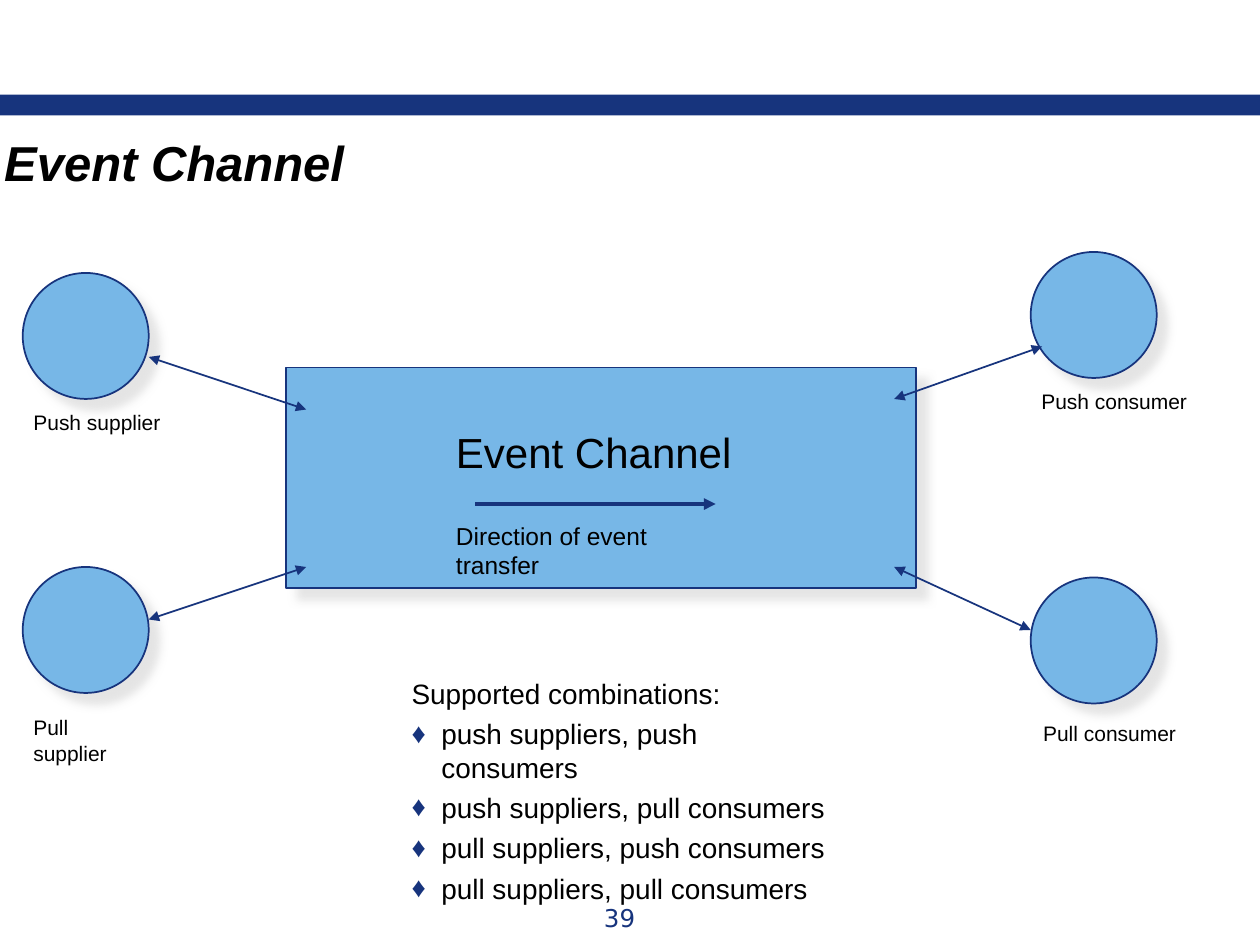
from lxml.etree import SubElement
from pptx import Presentation
from pptx.dml.color import RGBColor
from pptx.enum.shapes import MSO_CONNECTOR as Connector, MSO_SHAPE as Shape
from pptx.enum.text import MSO_ANCHOR as Anchor, MSO_AUTO_SIZE as AutoSize, PP_ALIGN as Align
from pptx.oxml.ns import qn
from pptx.util import Pt

COLORS = {"navy": "17347D", "sky": "77B7E7", "black": "000000", "shadow": "DDDDDD"}
CIRCLE = 72
CIRCLES = [(13, 156), (13, 324), (589, 144), (589, 330)]
LINKS = [
    ((85, 354), (175, 324)),
    ((85, 204), (175, 234)),
    ((511, 324), (589, 360)),
    ((511, 228), (595.5, 198)),
]
LABELS = [
    ("Event Channel", 253.5, 240, 180, 36, 24),
    ("Direction of event transfer", 253.5, 294, 160, 42, 14),
    ("Push supplier", 12, 230.5, 90, 22, 12),
    ("Pull supplier", 12, 405, 75, 36, 12),
    ("Push consumer", 588, 218.5, 102, 22, 12),
    ("Pull consumer", 589, 408, 94, 22, 12),
]
COMBINATIONS = [
    "push suppliers, push consumers",
    "push suppliers, pull consumers",
    "pull suppliers, push consumers",
    "pull suppliers, pull consumers",
]


def rgb(name):
    return RGBColor.from_string(COLORS[name])


def place(shape, left, top, width, height):
    shape.left, shape.top = Pt(left), Pt(top)
    shape.width, shape.height = Pt(width), Pt(height)


def set_font(paragraph, size, color="black", name="Arial", bold=False, italic=False):
    font = paragraph.font
    font.name, font.size = name, Pt(size)
    font.bold, font.italic = bold, italic
    font.color.rgb = rgb(color)


def add_color(parent, name):
    return SubElement(parent, qn("a:srgbClr"), val=COLORS[name])


def add_bar(slide):
    bar = slide.shapes.add_shape(Shape.RECTANGLE, 0, Pt(54), Pt(720), Pt(12))
    bar.shadow.inherit = False
    bar.fill.solid()
    bar.fill.fore_color.rgb = rgb("navy")
    bar.line.fill.background()


def add_node(slide, kind, left, top, width, height):
    node = slide.shapes.add_shape(kind, Pt(left), Pt(top), Pt(width), Pt(height))
    node.fill.solid()
    node.fill.fore_color.rgb = rgb("sky")
    node.line.color.rgb = rgb("navy")
    node.line.width = Pt(1)
    node.shadow.inherit = False
    effects = node.element.spPr.find(qn("a:effectLst"))
    shadow = SubElement(effects, qn("a:outerShdw"), blurRad=str(Pt(5)),
                        dist=str(Pt(8.5)), dir="2700000", algn="ctr", rotWithShape="0")
    SubElement(add_color(shadow, "shadow"), qn("a:alpha"), val="75000")


def add_arrow(slide, start, end, width=1, ends=("headEnd", "tailEnd")):
    points = [Pt(value) for value in (*start, *end)]
    arrow = slide.shapes.add_connector(Connector.STRAIGHT, *points)
    arrow.line.color.rgb = rgb("navy")
    arrow.line.width = Pt(width)
    line = arrow.element.spPr.find(qn("a:ln"))
    for end_name in ends:
        SubElement(line, qn(f"a:{end_name}"), type="triangle")
    SubElement(arrow.element.spPr, qn("a:effectLst"))


def add_label(slide, text, left, top, width, height, size, **font):
    box = slide.shapes.add_textbox(Pt(left), Pt(top), Pt(width), Pt(height))
    box.text_frame.word_wrap = True
    paragraph = box.text_frame.paragraphs[0]
    paragraph.text = text
    set_font(paragraph, size, **font)
    return paragraph


def fill_title(title):
    place(title, -6, 72, 211, 41)
    frame = title.text_frame
    frame.text = "Event Channel"
    frame.word_wrap = False
    frame.auto_size = AutoSize.NONE
    frame.vertical_anchor = Anchor.MIDDLE
    paragraph = frame.paragraphs[0]
    paragraph.alignment = Align.CENTER
    set_font(paragraph, 28, bold=True, italic=True)


def set_bullet(paragraph, character):
    properties = paragraph._p.get_or_add_pPr()
    indent = Pt(17) if character else 0
    properties.set("marL", str(indent))
    properties.set("indent", str(-indent))
    if character:
        add_color(SubElement(properties, qn("a:buClr")), "navy")
        SubElement(properties, qn("a:buChar"), char=character)
    else:
        SubElement(properties, qn("a:buNone"))


def fill_combinations(body):
    place(body, 228, 383, 255, 140)
    frame = body.text_frame
    frame.text = "\n".join(["Supported combinations:", *COMBINATIONS])
    frame.word_wrap = True
    frame.auto_size = AutoSize.NONE
    frame.vertical_anchor = Anchor.TOP
    for index, paragraph in enumerate(frame.paragraphs):
        set_bullet(paragraph, "♦" if index else None)
        paragraph.space_before = Pt(3.8 if index else 0)
        set_font(paragraph, 16)


def main():
    presentation = Presentation()
    presentation.slide_width, presentation.slide_height = Pt(720), Pt(540)
    slide = presentation.slides.add_slide(presentation.slide_layouts[1])
    fill_title(slide.shapes.title)
    fill_combinations(slide.placeholders[1])
    add_bar(slide)
    add_node(slide, Shape.RECTANGLE, 163.5, 210, 360, 126)
    for left, top in CIRCLES:
        add_node(slide, Shape.OVAL, left, top, CIRCLE, CIRCLE)
    for start, end in LINKS:
        add_arrow(slide, start, end)
    add_arrow(slide, (271.5, 288), (409, 288), 2.25, ["tailEnd"])
    for label in LABELS:
        add_label(slide, *label)
    number = add_label(slide, "39", 270, 512.5, 168, 24, 14, color="navy", name="DejaVu Sans")
    number.alignment = Align.CENTER
    presentation.save("out.pptx")


if __name__ == "__main__":
    main()
